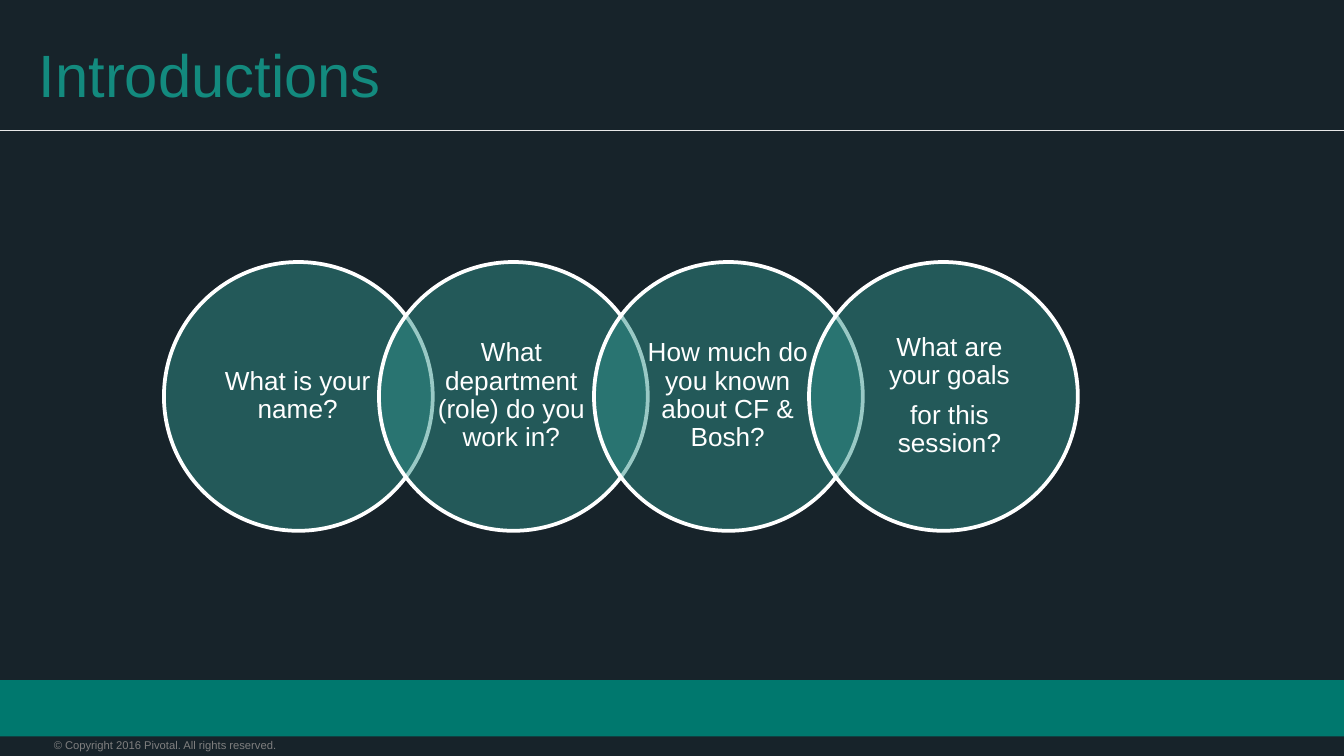
from lxml.etree import SubElement
from pptx import Presentation
from pptx.dml.color import RGBColor
from pptx.enum.shapes import MSO_CONNECTOR as Connector, MSO_SHAPE as Shape
from pptx.enum.text import MSO_ANCHOR as Anchor, PP_ALIGN as Align
from pptx.oxml.ns import qn
from pptx.util import Inches, Pt

NAVY = RGBColor(0x17, 0x23, 0x2A)
TEAL = RGBColor(0x00, 0x78, 0x6E)
TITLE_TEAL = RGBColor(0x13, 0x8A, 0x7E)
CIRCLE_TEAL = RGBColor(0x30, 0x92, 0x8A)
RULE_GRAY = RGBColor(0xE8, 0xE8, 0xE8)
FOOTER_GRAY = RGBColor(0x7F, 0x7F, 0x7F)
WHITE = RGBColor(0xFF, 0xFF, 0xFF)

FIRST_LEFT, CIRCLE_STEP = 1.22, 1.6
QUESTIONS = [
    (1.51, 1.41, 6, ["What is your name?"]),
    (3.05, 1.51, 0, ["What department (role) do you work in?"]),
    (4.71, 1.41, 6, ["How much do you known about CF & Bosh?"]),
    (6.36, 1.41, 6, ["What are your goals", "for this session?"]),
]


class SlideBuilder:
    """Draws styled elements on the current slide."""

    font = "Arial"

    def __init__(self, page):
        self.page = page
        fill = page.background.fill
        fill.solid()
        fill.fore_color.rgb = NAVY

    def shape(self, kind, left, top, width, height, color, opacity=None, outline=None):
        shape = self.page.shapes.add_shape(
            kind, Inches(left), Inches(top), Inches(width), Inches(height))
        shape.shadow.inherit = False
        shape.fill.solid()
        shape.fill.fore_color.rgb = color
        if opacity is not None:
            color_node = shape._element.spPr.find(qn("a:solidFill"))[0]
            SubElement(color_node, qn("a:alpha"), val=str(opacity * 1000))
        if outline is None:
            shape.line.fill.background()
        else:
            shape.line.color.rgb = outline
            shape.line.width = Pt(2)

    def rule(self, top, width, color):
        line = self.page.shapes.add_connector(
            Connector.STRAIGHT, 0, Inches(top), Inches(width), Inches(top))
        line.line.color.rgb = color
        line.line.width = Pt(0.75)
        SubElement(line._element.spPr, qn("a:effectLst"))

    def text(self, left, top, width, height, lines, size, color, inset=(0, 0),
             anchor=Anchor.TOP, align=Align.LEFT, spacing=1.0, after=0):
        box = self.page.shapes.add_textbox(
            Inches(left), Inches(top), Inches(width), Inches(height))
        frame = box.text_frame
        frame.word_wrap = True
        frame.vertical_anchor = anchor
        frame.margin_left = frame.margin_right = Inches(inset[0])
        frame.margin_top = frame.margin_bottom = Inches(inset[1])
        frame.text = "\n".join(lines)
        for para in frame.paragraphs:
            para.alignment = align
            para.line_spacing = spacing
            para.space_after = Pt(after)
            for span in para.runs:
                span.font.name = self.font
                span.font.size = Pt(size)
                span.font.color.rgb = color


def main():
    deck = Presentation()
    deck.slide_width = Inches(10)
    deck.slide_height = deck.slide_width * 9 // 16
    slide = SlideBuilder(deck.slides.add_slide(deck.slide_layouts[6]))

    slide.shape(Shape.RECTANGLE, 0, 5.06, 10, 0.42, TEAL)
    slide.text(0.4, 5.49, 2.49, 0.1,
               ["© Copyright 2016 Pivotal. All rights reserved."], 6, FOOTER_GRAY)
    slide.rule(0.97, 10, RULE_GRAY)
    slide.text(0.19, 0.35, 9.55, 0.4, ["Introductions"], 32, TITLE_TEAL,
               inset=(0.1, 0.1), anchor=Anchor.MIDDLE)

    for index, (left, width, after, lines) in enumerate(QUESTIONS):
        slide.shape(Shape.OVAL, FIRST_LEFT + index * CIRCLE_STEP, 1.95, 2, 2,
                    CIRCLE_TEAL, opacity=49, outline=WHITE)
        slide.text(left, 2.24, width, 1.41, lines, 14, WHITE, inset=(0.1, 0.02),
                   anchor=Anchor.MIDDLE, align=Align.CENTER, spacing=0.9, after=after)

    deck.save("out.pptx")


if __name__ == "__main__":
    main()
